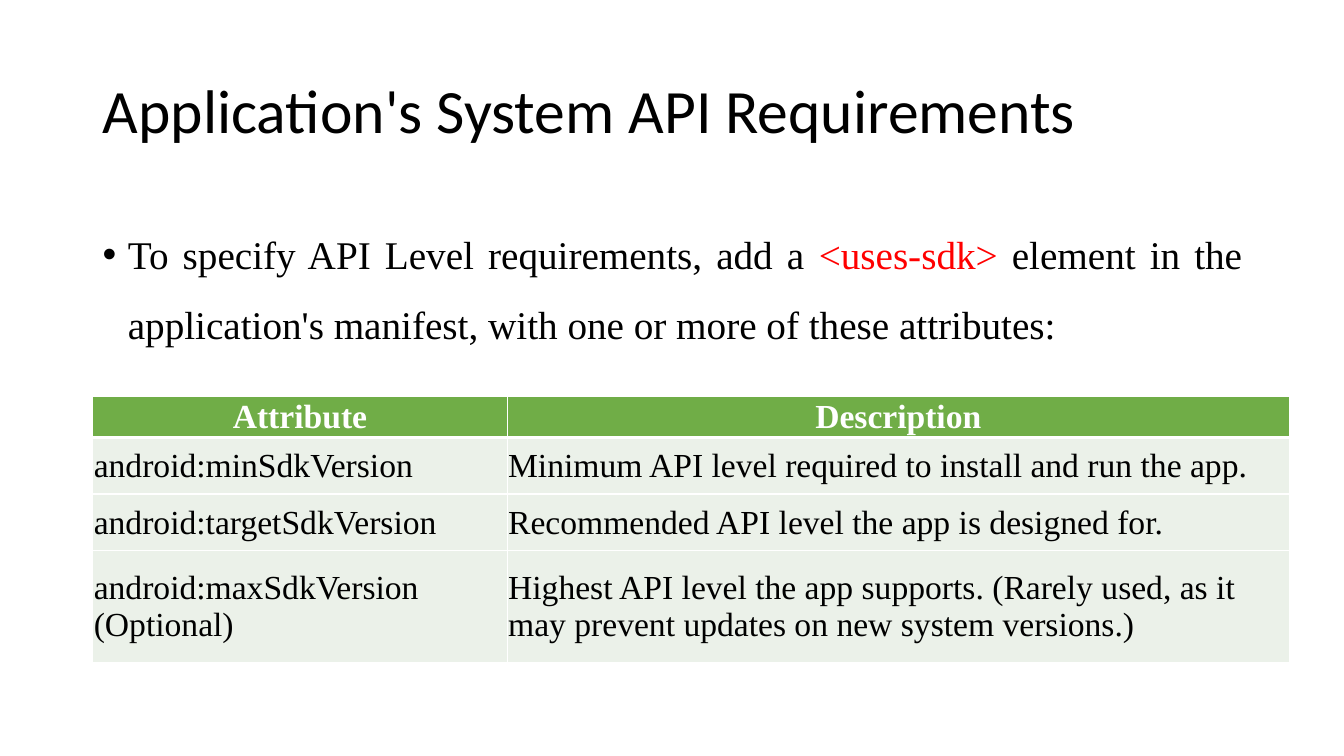
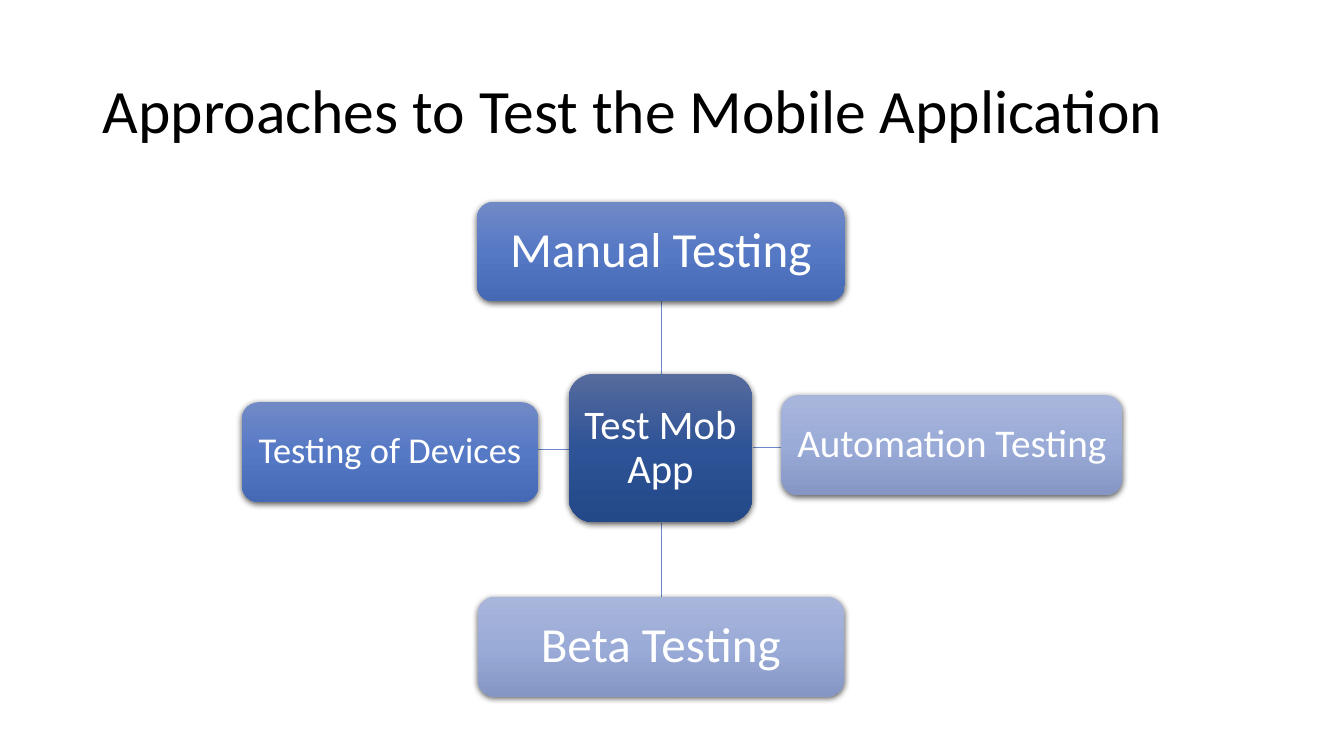
import copy

import lxml.etree
import pptx
import pptx.dml.color
import pptx.enum.shapes
import pptx.enum.text
import pptx.oxml.ns
import pptx.util

Inches = pptx.util.Inches
Pt = pptx.util.Pt
ALIGN = pptx.enum.text.PP_ALIGN
MIDDLE = pptx.enum.text.MSO_ANCHOR.MIDDLE
SHAPE = pptx.enum.shapes.MSO_SHAPE
qn = pptx.oxml.ns.qn

TITLE_FONT = "Calibri"
BODY_FONT = "Times New Roman"
BLACK, WHITE, RED = "000000", "FFFFFF", "FF0000"
HEADER_GREEN, ROW_GREEN = "70AD47", "EBF1E9"
LINE_BLUE = "6D89CB"
DARK_BLUE = ("566B9E", "2E5396", "244989")
MID_BLUE = ("718AC7", "5679C5", "4669B5")
PALE_BLUE = ("A9B6DB", "9AABD8", "8596C4")
HEADER_BORDERS = {"a:lnL": 1, "a:lnR": 1, "a:lnT": 1, "a:lnB": 3}
ROW_BORDERS = {"a:lnL": 1, "a:lnR": 1}

ATTRIBUTES = [
    ("Attribute", "Description"),
    ("android:minSdkVersion", "Minimum API level required to install and run the app."),
    ("android:targetSdkVersion", "Recommended API level the app is designed for."),
    ("android:maxSdkVersion (Optional)",
     "Highest API level the app supports. (Rarely used, as it may prevent updates on new system versions.)"),
]
APPROACHES = [
    ("Test Mob App", 29, DARK_BLUE, (5.64, 3.71, 1.82, 1.47)),
    ("Manual Testing", 35, MID_BLUE, (4.73, 2, 3.65, 0.99)),
    ("Automation Testing", 28, PALE_BLUE, (7.75, 3.92, 3.38, 0.99)),
    ("Beta Testing", 35, PALE_BLUE, (4.74, 5.92, 3.63, 0.99)),
    ("Testing of Devices", 26, MID_BLUE, (2.4, 3.99, 2.94, 0.99)),
]
LINKS = [
    (6.56, 3.71, 6.56, 2.98),
    (7.47, 4.44, 7.75, 4.44),
    (6.56, 5.19, 6.56, 5.92),
    (5.64, 4.46, 5.34, 4.46),
]


def rgb(value):
    return pptx.dml.color.RGBColor.from_string(value)


def format_span(span, size, font, colour, bold=False):
    span.font.size = Pt(size)
    span.font.name = font
    span.font.color.rgb = rgb(colour)
    span.font.bold = bold


def add_page(deck, title):
    page = deck.slides.add_slide(deck.slide_layouts[5])
    box = page.shapes.title
    box.left, box.top, box.width, box.height = map(Inches, (0.92, 0.4, 11.5, 1.45))
    frame = box.text_frame
    frame.text = title
    frame.vertical_anchor = MIDDLE
    frame.auto_size = pptx.enum.text.MSO_AUTO_SIZE.NONE
    para = frame.paragraphs[0]
    para.alignment = ALIGN.LEFT
    para.line_spacing = 0.9
    format_span(para.runs[0], 44, TITLE_FONT, BLACK)
    return page


def add_bullet(page, place, parts):
    frame = page.shapes.add_textbox(*map(Inches, place)).text_frame
    frame.word_wrap = True
    para = frame.paragraphs[0]
    para.alignment = ALIGN.JUSTIFY
    para.line_spacing = 1.5
    para.space_before = Pt(10)
    properties = para._p.get_or_add_pPr()
    properties.set("marL", str(Inches(0.25)))
    properties.set("indent", str(-Inches(0.25)))
    lxml.etree.SubElement(properties, qn("a:buFont"), typeface="Arial")
    lxml.etree.SubElement(properties, qn("a:buChar"), char="•")
    for text, colour in parts:
        span = para.add_run()
        span.text = text
        format_span(span, 28, BODY_FONT, colour)


def set_borders(cell, widths):
    properties = cell._tc.get_or_add_tcPr()
    for index, (side, width) in enumerate(widths.items()):
        border = lxml.etree.Element(qn(side), w=str(Pt(width)))
        fill = lxml.etree.SubElement(border, qn("a:solidFill"))
        lxml.etree.SubElement(fill, qn("a:srgbClr"), val=WHITE)
        properties.insert(index, border)


def fill_cell(cell, text, is_header):
    cell.fill.solid()
    cell.fill.fore_color.rgb = rgb(HEADER_GREEN if is_header else ROW_GREEN)
    set_borders(cell, HEADER_BORDERS if is_header else ROW_BORDERS)
    cell.margin_left = cell.margin_right = cell.margin_top = Inches(0.01)
    cell.margin_bottom = 0
    cell.vertical_anchor = MIDDLE
    cell.text_frame.text = text
    para = cell.text_frame.paragraphs[0]
    para.alignment = ALIGN.CENTER if is_header else ALIGN.LEFT
    format_span(para.runs[0], 24, BODY_FONT, WHITE if is_header else BLACK, is_header)


def add_table(page, left, top, widths, heights, rows):
    place = map(Inches, (left, top, sum(widths), sum(heights)))
    table = page.shapes.add_table(len(rows), len(widths), *place).table
    table.horz_banding = False
    for column, width in zip(table.columns, widths):
        column.width = Inches(width)
    for row, height in zip(table.rows, heights):
        row.height = Inches(height)
    for row_index, row in enumerate(rows):
        for column_index, text in enumerate(row):
            fill_cell(table.cell(row_index, column_index), text, row_index == 0)


def set_gradient(box, colours):
    box.fill.gradient()
    box.fill.gradient_angle = 270
    stop_list = box._element.spPr.find(".//" + qn("a:gsLst"))
    stop_list.insert(1, copy.deepcopy(stop_list[0]))
    for stop, position, colour in zip(box.fill.gradient_stops, (0, 0.5, 1), colours):
        stop.position = position
        stop.color.rgb = rgb(colour)


def set_shadow(box):
    box.shadow.inherit = False
    effects = box._element.spPr.find(qn("a:effectLst"))
    shadow = lxml.etree.SubElement(
        effects, qn("a:outerShdw"), blurRad=str(Pt(4.5)), dist=str(Pt(1.5)),
        dir="5400000", algn="ctr", rotWithShape="0")
    colour = lxml.etree.SubElement(shadow, qn("a:srgbClr"), val=BLACK)
    lxml.etree.SubElement(colour, qn("a:alpha"), val="63000")


def add_node(page, text, size, colours, place):
    box = page.shapes.add_shape(SHAPE.ROUNDED_RECTANGLE, *map(Inches, place))
    set_gradient(box, colours)
    box.line.fill.background()
    set_shadow(box)
    frame = box.text_frame
    frame.word_wrap = True
    frame.vertical_anchor = MIDDLE
    frame.margin_left = frame.margin_right = Inches(0.05)
    frame.text = text
    para = frame.paragraphs[0]
    para.alignment = ALIGN.CENTER
    para.line_spacing = 0.9
    format_span(para.runs[0], size, TITLE_FONT, WHITE)


def add_link(page, ends):
    line = page.shapes.add_connector(
        pptx.enum.shapes.MSO_CONNECTOR.STRAIGHT, *map(Inches, ends))
    line.line.color.rgb = rgb(LINE_BLUE)
    line.line.width = Pt(1)
    lxml.etree.SubElement(line._element.spPr, qn("a:effectLst"))


def add_requirements(deck):
    page = add_page(deck, "Application's System API Requirements")
    add_bullet(page, (0.92, 2, 11.5, 1.45), [
        ("To specify API Level requirements, add a ", BLACK),
        ("<uses-sdk> ", RED),
        ("element in the application's manifest, with one or more of these attributes:", BLACK),
    ])
    add_table(page, 0.92, 3.93, (4.11, 7.76), (0.19, 0.56, 0.56, 1.11), ATTRIBUTES)


def add_approaches(deck):
    page = add_page(deck, "Approaches to Test the Mobile Application")
    for ends in LINKS:
        add_link(page, ends)
    for approach in APPROACHES:
        add_node(page, *approach)


def main():
    deck = pptx.Presentation()
    deck.slide_width, deck.slide_height = Inches(13.33), Inches(7.5)
    add_requirements(deck)
    add_approaches(deck)
    deck.save("out.pptx")


if __name__ == "__main__":
    main()
